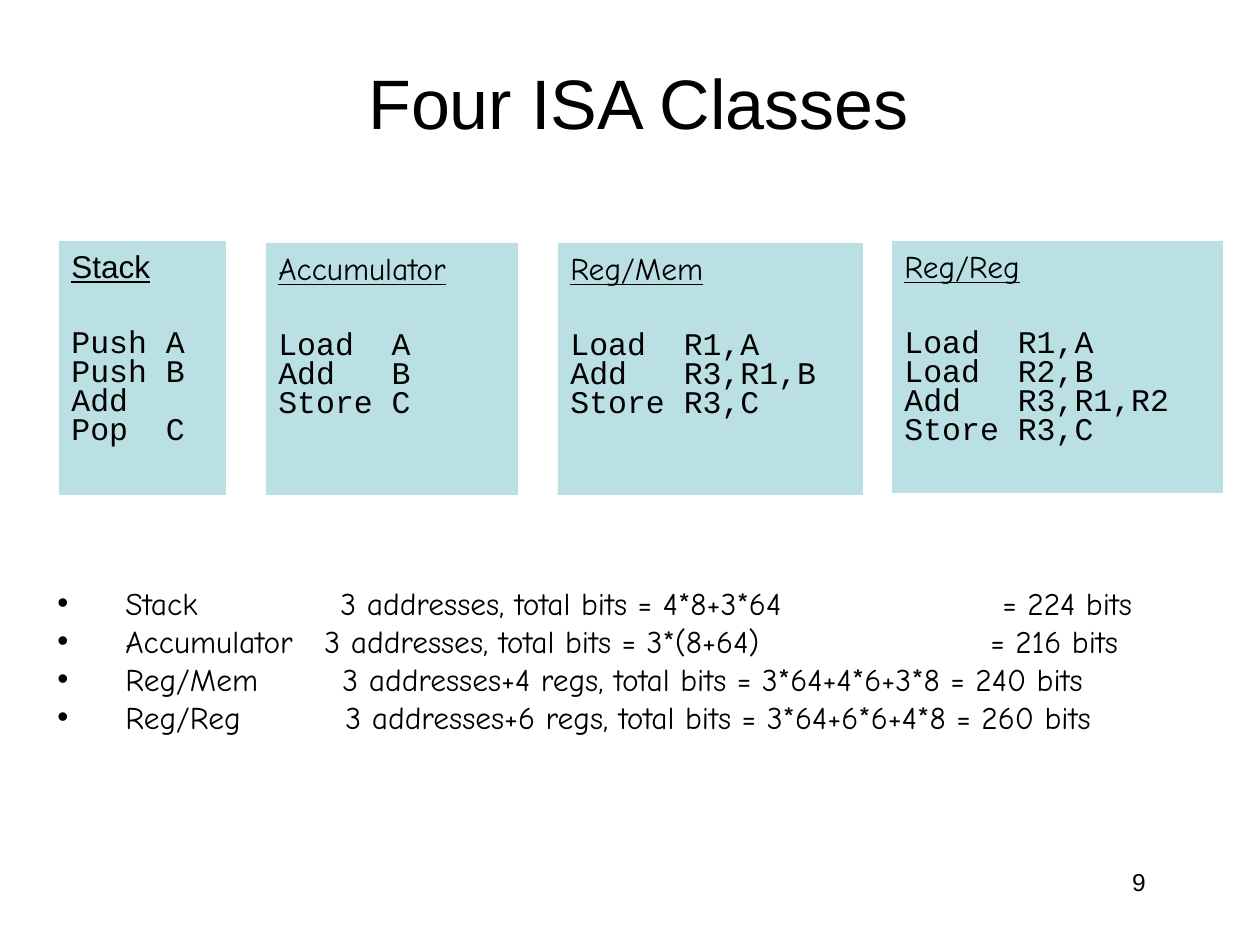
"""Build the slide comparing code and instruction bits of four ISA classes."""
from lxml import etree
from pptx import Presentation
from pptx.dml.color import RGBColor
from pptx.enum.shapes import MSO_SHAPE
from pptx.enum.text import MSO_ANCHOR as Anchor, PP_ALIGN as Align
from pptx.oxml.ns import qn
from pptx.util import Emu, Pt

PX = 914400 / 126
BLACK = RGBColor(0x00, 0x00, 0x00)
PALE_TEAL = RGBColor(0xBB, 0xE0, 0xE3)


def px(length):
    return Emu(round(length * PX))


def write(frame, text, size=18, font="Comic Neue", align=Align.LEFT, underline=False,
          before=0, spacing=None, hang=0, bullet=None, stops=()):
    first = frame.paragraphs[0]
    paragraph = frame.add_paragraph() if first.runs else first
    properties = paragraph._p.get_or_add_pPr()
    if hang:
        properties.set("marL", str(px(hang)))
        properties.set("indent", str(-px(hang)))
    if bullet:
        etree.SubElement(properties, qn("a:buFont")).set("typeface", "Arial")
        etree.SubElement(properties, qn("a:buChar")).set("char", bullet)
    if stops:
        tabs = etree.SubElement(properties, qn("a:tabLst"))
        for stop in stops:
            etree.SubElement(tabs, qn("a:tab"), pos=str(px(stop)), algn="l")
    paragraph.alignment = align
    paragraph.space_before = Pt(before)
    if spacing:
        paragraph.line_spacing = spacing
    run = paragraph.add_run()
    run.text = text
    run.font.size = Pt(size)
    run.font.name = font
    run.font.underline = underline
    run.font.color.rgb = BLACK


presentation = Presentation()
presentation.slide_width, presentation.slide_height = px(1260), px(945)
slide = presentation.slides.add_slide(presentation.slide_layouts[6])
shapes = slide.shapes

title = shapes.add_textbox(px(103), px(23), px(1071), px(157)).text_frame
title.word_wrap = True
title.vertical_anchor = Anchor.MIDDLE
write(title, "Four ISA Classes", size=40, font="Arial", align=Align.CENTER)

ISA_CLASSES = [
    ("Stack", "Arial", 59, 241, 167, 254, ["Push A", "Push B", "Add", "Pop  C"]),
    ("Accumulator", "Comic Neue", 266, 243, 252, 252, ["Load  A", "Add   B", "Store C"]),
    ("Reg/Mem", "Comic Neue", 558, 243, 305, 252,
     ["Load  R1,A", "Add   R3,R1,B", "Store R3,C"]),
    ("Reg/Reg", "Comic Neue", 892, 241, 331, 252,
     ["Load  R1,A", "Load  R2,B", "Add   R3,R1,R2", "Store R3,C"]),
]
for name, heading_font, left, top, width, height, code in ISA_CLASSES:
    card = shapes.add_shape(MSO_SHAPE.RECTANGLE, px(left), px(top), px(width), px(height))
    card.shadow.inherit = False
    card.fill.solid()
    card.fill.fore_color.rgb = PALE_TEAL
    card.line.fill.background()
    listing = card.text_frame
    listing.word_wrap = True
    listing.vertical_anchor = Anchor.TOP
    write(listing, name, font=heading_font, underline=True, hang=48)
    for number, line in enumerate(code):
        write(listing, line, font="Courier New", hang=48, spacing=0.6,
              before=3.6 if number else 28.6)

BIT_TOTALS = [
    ("Stack\t3 addresses, total bits = 4*8+3*64\t= 224 bits", (283, 945)),
    ("Accumulator\t3 addresses, total bits = 3*(8+64)\t= 216 bits", (267, 933)),
    ("Reg/Mem\t3 addresses+4 regs, total bits = 3*64+4*6+3*8 = 240 bits", (285,)),
    ("Reg/Reg\t3 addresses+6 regs, total bits = 3*64+6*6+4*8 = 260 bits", (288,)),
]
totals = shapes.add_textbox(px(45), px(578), px(1192), px(165)).text_frame
totals.word_wrap = True
for total, stops in BIT_TOTALS:
    write(totals, total, hang=68, bullet="•", stops=stops)

page_number = shapes.add_textbox(px(903), px(861), px(262), px(63)).text_frame
page_number.word_wrap = True
write(page_number, "9 ", size=14, font="Arial", align=Align.RIGHT)

presentation.save("out.pptx")
